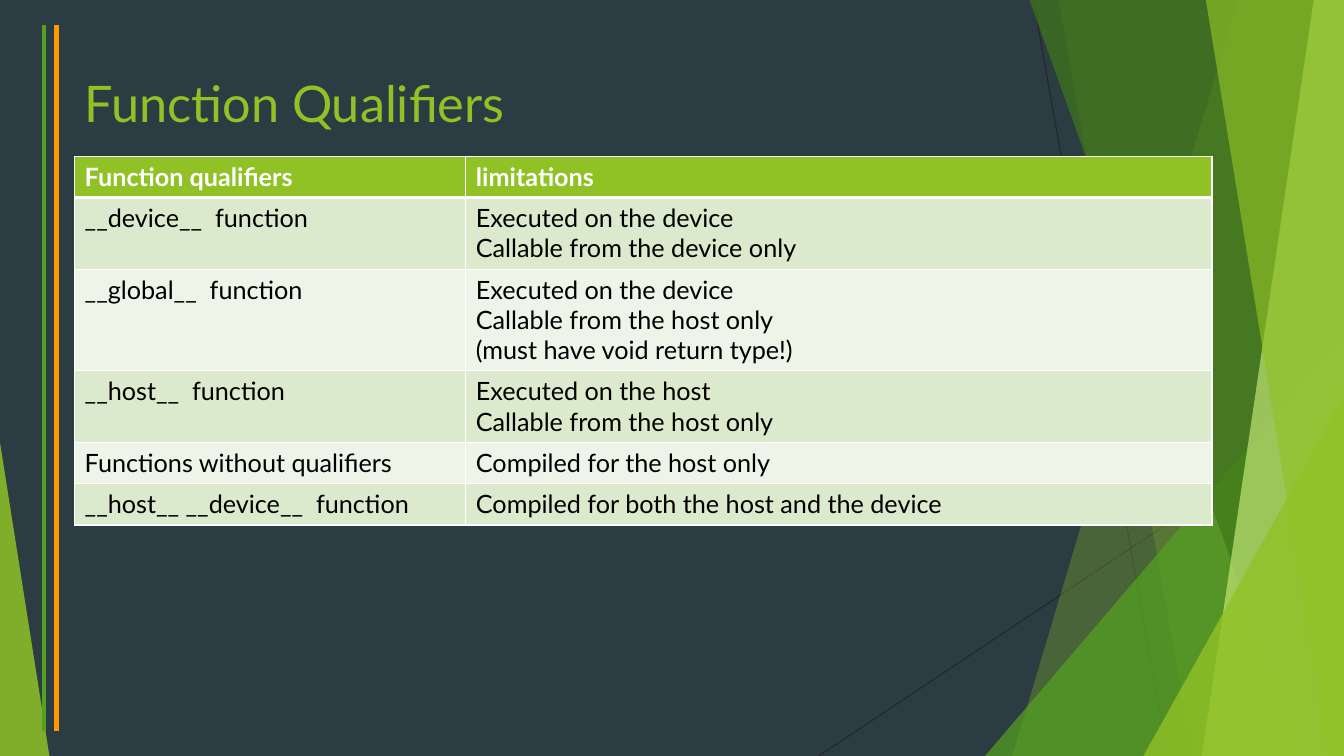
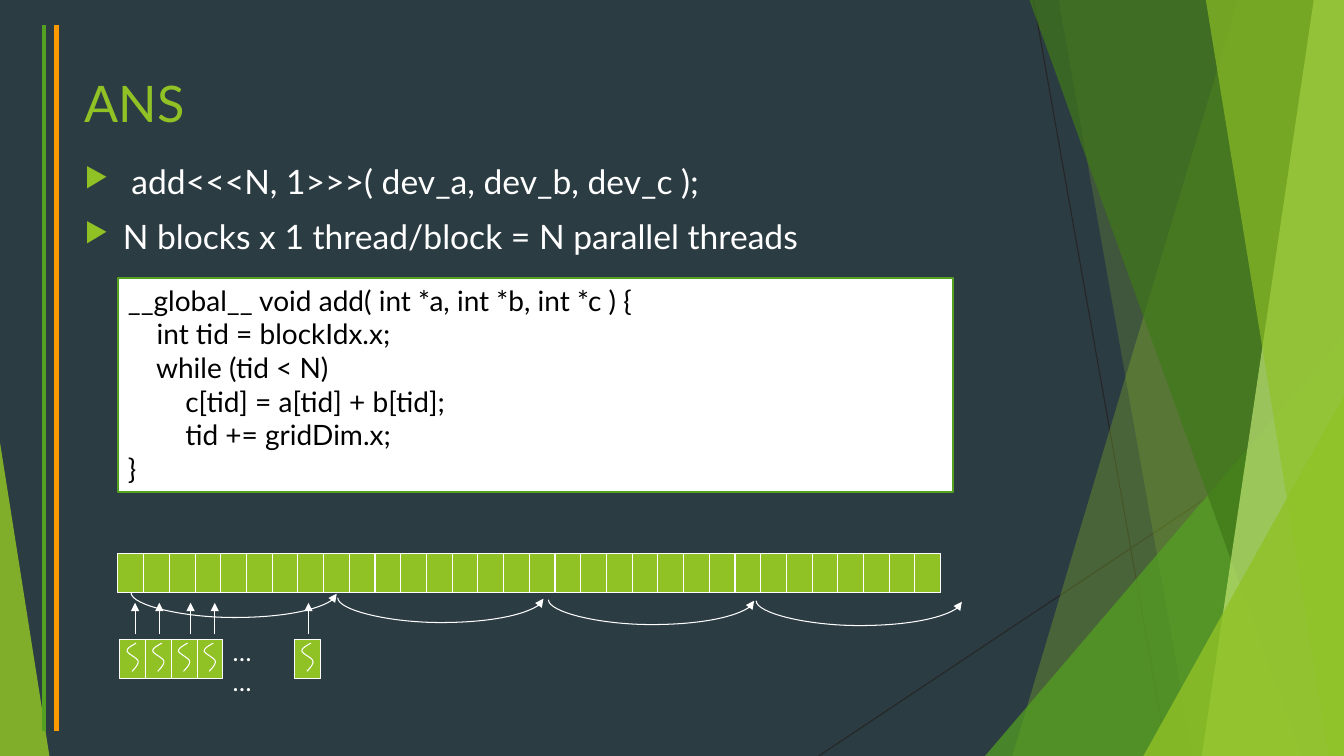
from lxml.etree import SubElement
from pptx import Presentation
from pptx.dml.color import RGBColor
from pptx.enum.shapes import MSO_CONNECTOR, MSO_SHAPE
from pptx.enum.text import MSO_ANCHOR, PP_ALIGN
from pptx.oxml.ns import qn
from pptx.util import Inches, Pt

FONT = "Lato"
SLATE = RGBColor(0x2C, 0x3C, 0x43)
LIME = RGBColor(0x90, 0xC2, 0x26)
GREEN = RGBColor(0x54, 0xA0, 0x21)
FOREST = RGBColor(0x3F, 0x78, 0x19)
PALE_LIME = RGBColor(0xC0, 0xE4, 0x74)
ORANGE = RGBColor(0xFF, 0x99, 0x00)
CHARCOAL = RGBColor(0x26, 0x26, 0x26)
BAND_DARK = RGBColor(0xDB, 0xE9, 0xCD)
BAND_LIGHT = RGBColor(0xEE, 0xF4, 0xE8)
WHITE = RGBColor(0xFF, 0xFF, 0xFF)
BLACK = RGBColor(0, 0, 0)

WIDTH, HEIGHT = 13.33, 7.5
CONTENT_LEFT, CONTENT_TOP = 0.74, 1.55

# Array of elements and the threads that work on it
ELEMENTS = 32
TILE_W, TILE_H = 8.16 / ELEMENTS, 0.39
THREAD_SLOTS = [0, 1, 2, 3, 6.8]
ARROW_XS = [1.34, 1.58, 1.89, 2.13, 3.06]
STRIDE = 2.04
SQUIGGLE = [(0.16, 0.04), (0.11, 0.07), (0.07, 0.09), (0.07, 0.12),
            (0.08, 0.15), (0.18, 0.19), (0.18, 0.22),
            (0.19, 0.25), (0.13, 0.31), (0.12, 0.32)]

QUALIFIERS = [
    ("Function qualifiers", ["limitations"]),
    ("__device__  function",
     ["Executed on the device", "Callable from the device only"]),
    ("__global__  function",
     ["Executed on the device", "Callable from the host only",
      "(must have void return type!)"]),
    ("__host__  function",
     ["Executed on the host", "Callable from the host only"]),
    ("Functions without qualifiers", ["Compiled for the host only"]),
    ("__host__ __device__  function",
     ["Compiled for both the host and the device"]),
]

KERNEL_CODE = [
    "__global__ void add( int *a, int *b, int *c ) {",
    "    int tid = blockIdx.x;",
    "    while (tid < N)",
    "        c[tid] = a[tid] + b[tid];",
    "        tid += gridDim.x;",
    "}",
]


def inches(*lengths):
    return [Inches(length) for length in lengths]


def add_bullet(paragraph):
    pPr = paragraph._p.get_or_add_pPr()
    pPr.set("marL", str(Inches(0.38)))
    pPr.set("indent", str(-Inches(0.38)))
    color = SubElement(pPr, qn("a:buClr"))
    SubElement(color, qn("a:srgbClr"), val=str(LIME))
    SubElement(pPr, qn("a:buSzPct"), val="80000")
    SubElement(pPr, qn("a:buChar"), char="▶")


def write(frame, lines, size=18, color=WHITE, bold=False, bullets=False,
          space_before=0, wrap=True):
    frame.word_wrap = wrap
    frame.vertical_anchor = MSO_ANCHOR.TOP
    for index, line in enumerate(lines):
        paragraph = frame.add_paragraph() if index else frame.paragraphs[0]
        paragraph.alignment = PP_ALIGN.LEFT
        if index and space_before:
            paragraph.space_before = Pt(space_before)
        if bullets:
            add_bullet(paragraph)
        run = paragraph.add_run()
        run.text = line
        run.font.name = FONT
        run.font.size = Pt(size)
        run.font.bold = bold
        run.font.color.rgb = color


def paint(shape, fill=None, opacity=100, line=None, weight=0.75):
    shape.shadow.inherit = False
    if fill is None:
        shape.fill.background()
    else:
        shape.fill.solid()
        shape.fill.fore_color.rgb = fill
        if opacity < 100:
            color = shape.element.spPr.find(".//" + qn("a:srgbClr"))
            SubElement(color, qn("a:alpha"), val=str(opacity * 1000))
    if line is None:
        shape.line.fill.background()
    else:
        shape.line.color.rgb = line
        shape.line.width = Pt(weight)


def add_line(shapes, start, end, color=WHITE, weight=0.75, arrow=False,
             kind=MSO_CONNECTOR.STRAIGHT):
    connector = shapes.add_connector(kind, *inches(*start, *end))
    connector.line.color.rgb = color
    connector.line.width = Pt(weight)
    spPr = connector.element.spPr
    if arrow:
        SubElement(spPr.find(qn("a:ln")), qn("a:tailEnd"), type="triangle")
    SubElement(spPr, qn("a:effectLst"))
    return connector


def add_outline(shapes, points, close=True):
    corners = [inches(*point) for point in points]
    builder = shapes.build_freeform(*corners[0])
    builder.add_line_segments(corners[1:], close=close)
    return builder.convert_to_shape()


# Shared background, side rules and title

def add_facet(shapes, top_left, top_right, bottom_left, color, opacity):
    facet = add_outline(shapes, [(top_left, 0), (top_right, 0),
                                 (WIDTH, HEIGHT), (bottom_left, HEIGHT)])
    paint(facet, color, opacity)


def add_corner(shapes, left, top, width, apex, color, opacity):
    corner = shapes.add_shape(MSO_SHAPE.ISOSCELES_TRIANGLE,
                              *inches(left, top, width, HEIGHT - top))
    corner.adjustments[0] = apex
    paint(corner, color, opacity)


def add_backdrop(slide):
    shapes = slide.shapes.add_group_shape().shapes
    add_line(shapes, (10.25, 0), (11.58, HEIGHT), CHARCOAL)
    add_line(shapes, (WIDTH, 4.03), (8.12, HEIGHT), CHARCOAL)
    add_facet(shapes, 12.28, WIDTH, 10.04, LIME, 30)
    add_facet(shapes, 10.5, WIDTH, 11.83, LIME, 20)
    add_corner(shapes, 9.77, 3.33, 3.56, 1, GREEN, 72)
    add_facet(shapes, 10.21, WIDTH, 12.91, FOREST, 70)
    add_facet(shapes, 13.03, WIDTH, 11.92, PALE_LIME, 70)
    add_facet(shapes, 11.96, WIDTH, 13.18, LIME, 65)
    add_corner(shapes, 11.34, 3.93, 1.99, 1, LIME, 80)
    add_corner(shapes, 0, 4.39, 0.49, 0, LIME, 85)
    for x, color in ((0.44, GREEN), (0.56, ORANGE)):
        add_line(slide.shapes, (x, 0.25), (x, 7.25), color, 3)


def start_slide(prs, title):
    slide = prs.slides.add_slide(prs.slide_layouts[6])
    add_backdrop(slide)
    heading = slide.shapes.add_textbox(*inches(CONTENT_LEFT, 0.67, 9.4, 1.44))
    write(heading.text_frame, [title], size=36, color=LIME)
    return slide


# Qualifier table

def style_cell(cell, fill, top, bottom):
    tcPr = cell._tc.get_or_add_tcPr()
    for side, weight in (("L", 1), ("R", 1), ("T", top), ("B", bottom)):
        border = SubElement(tcPr, qn(f"a:ln{side}"), w=str(Pt(weight)))
        solid = SubElement(border, qn("a:solidFill"))
        SubElement(solid, qn("a:srgbClr"), val=str(WHITE))
    cell.fill.solid()
    cell.fill.fore_color.rgb = fill


def add_qualifier_table(slide, left, top, column_widths):
    heights = [0.41 + 0.3 * (len(limits) - 1) for _, limits in QUALIFIERS]
    table = slide.shapes.add_table(
        len(QUALIFIERS), 2,
        *inches(left, top, sum(column_widths), sum(heights))).table
    for column, width in zip(table.columns, column_widths):
        column.width = Inches(width)
    for index, (qualifier, limits) in enumerate(QUALIFIERS):
        table.rows[index].height = Inches(heights[index])
        header = index == 0
        fill = LIME if header else BAND_DARK if index % 2 else BAND_LIGHT
        for column, lines in enumerate(([qualifier], limits)):
            cell = table.cell(index, column)
            style_cell(cell, fill, top=3 if index == 1 else 1,
                       bottom=3 if header else 1)
            write(cell.text_frame, lines, bold=header,
                  color=WHITE if header else BLACK)


# Array diagram

def add_tile(shapes, left, top):
    tile = shapes.add_shape(MSO_SHAPE.RECTANGLE,
                            *inches(left, top, TILE_W, TILE_H))
    paint(tile, LIME, line=WHITE)


def bezier(points, t):
    """Point at t on the curve with the given control points."""
    while len(points) > 1:
        points = [(ax + (bx - ax) * t, ay + (by - ay) * t)
                  for (ax, ay), (bx, by) in zip(points, points[1:])]
    return points[0]


def add_thread(shapes, left, top):
    add_tile(shapes, left, top)
    controls = [(left + x, top + y) for x, y in SQUIGGLE]
    curve = [controls[0]]
    for first in range(0, len(controls) - 1, 3):
        curve += [bezier(controls[first:first + 4], step / 8)
                  for step in range(1, 9)]
    paint(add_outline(shapes, curve, close=False), line=WHITE)


def add_stride(slide, left, top, drop=0.01, depth=0.25):
    """Curved arrow from one element to the next one of the same thread."""
    x, y = left + STRIDE / 2, top + drop / 2
    stride = add_line(slide.shapes, (x - drop / 2, y - STRIDE / 2),
                      (x + drop / 2, y + STRIDE / 2), arrow=True,
                      kind=MSO_CONNECTOR.CURVE)
    spPr = stride.element.spPr
    xfrm = spPr.find(qn("a:xfrm"))
    xfrm.set("rot", str(270 * 60000))
    xfrm.set("flipH", "1")
    guides = spPr.find(qn("a:prstGeom")).get_or_add_avLst()
    SubElement(guides, qn("a:gd"), name="adj1",
               fmla=f"val {round(depth / drop * 100000)}")


def add_array_diagram(slide, left, top):
    # Threads
    threads = slide.shapes.add_group_shape().shapes
    for slot in THREAD_SLOTS:
        add_thread(threads, left + 0.02 + slot * TILE_W, top + 0.85)
    dots = threads.add_textbox(*inches(left + 1.04, top + 0.77, 0.57, 0.4))
    write(dots.text_frame, ["……"], wrap=False)
    # Elements
    elements = slide.shapes.add_group_shape().shapes
    for index in range(ELEMENTS):
        add_tile(elements, left + index * TILE_W, top)
    # Strides and arrows
    for x, y in ((1.3, 5.88), (3.35, 5.93), (5.44, 5.95), (7.5, 5.96)):
        add_stride(slide, left + x - 1.17, top + y - 5.49)
    for x in ARROW_XS:
        add_line(slide.shapes, (left + x - 1.17, top + 0.8),
                 (left + x - 1.17, top + 0.49), arrow=True)


def add_code_box(slide, left, top, width, height):
    code = slide.shapes.add_shape(MSO_SHAPE.RECTANGLE,
                                  *inches(left, top, width, height))
    paint(code, WHITE, line=GREEN, weight=1.5)
    write(code.text_frame, KERNEL_CODE, size=20, color=BLACK)


def build_qualifiers(prs):
    slide = start_slide(prs, "Function Qualifiers")
    add_qualifier_table(slide, CONTENT_LEFT, CONTENT_TOP, [3.88, 7.4])


def build_answer(prs):
    slide = start_slide(prs, "ANS")
    points = slide.shapes.add_textbox(
        *inches(CONTENT_LEFT, CONTENT_TOP, 9.4, 5.06))
    write(points.text_frame,
          [" add<<<N, 1>>>( dev_a, dev_b, dev_c );",
           "N blocks x 1 thread/block = N parallel threads"],
          size=24, bullets=True, space_before=10)
    add_array_diagram(slide, 1.17, 5.49)
    add_code_box(slide, 1.17, 2.76, 8.28, 2.12)


def main():
    prs = Presentation()
    prs.slide_width, prs.slide_height = inches(WIDTH, HEIGHT)
    background = prs.slide_master.background.fill
    background.solid()
    background.fore_color.rgb = SLATE
    build_qualifiers(prs)
    build_answer(prs)
    prs.save("out.pptx")


if __name__ == "__main__":
    main()
